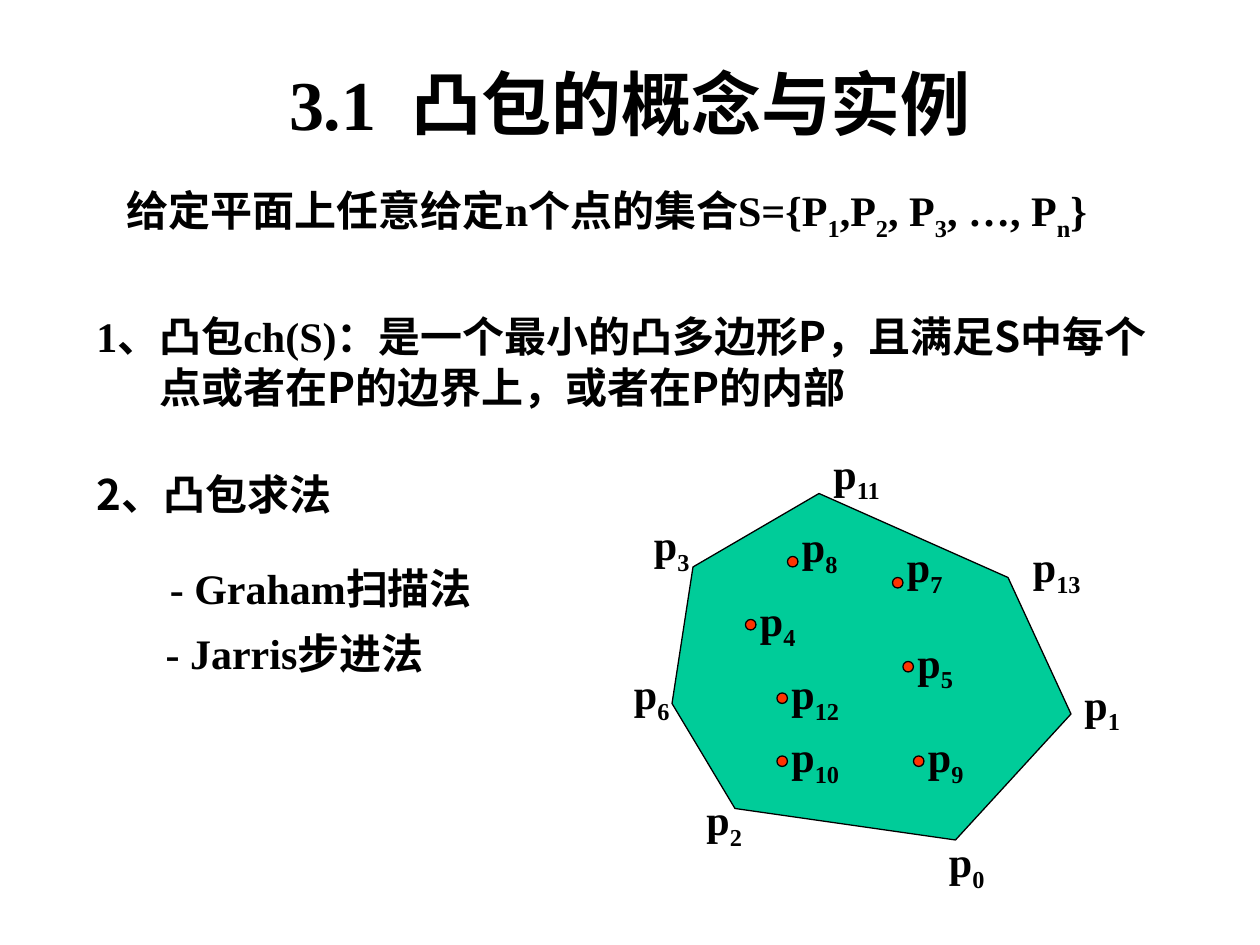
from dataclasses import dataclass

import pptx
import pptx.dml.color
import pptx.enum.shapes
import pptx.enum.text
import pptx.oxml
import pptx.oxml.ns
import pptx.util

CELL = pptx.util.Emu(76200)  # 1/12 inch: the slide is 120 columns by 90 rows
COLUMNS, ROWS = 120, 90


@dataclass(frozen=True)
class Theme:
    latin: str = "Times New Roman"
    cjk: str = "Noto Sans CJK SC"
    ink: str = "000000"
    hull: str = "00CC99"
    dot: str = "FF3300"
    title_size: int = 40
    body_size: int = 24
    outline: float = 0.75
    subscript: int = -25000


@dataclass(frozen=True)
class Piece:
    text: str
    font: str = ""
    sub: bool = False


@dataclass(frozen=True)
class Statement:
    pieces: tuple[Piece, ...]
    column: float
    row: float
    width: float
    height: float
    margin: float = 0
    hanging: float = 0


@dataclass(frozen=True)
class Point:
    """A point of S; its label lies (right, down) cells from it."""
    index: int
    column: float
    row: float
    right: float = 0.2
    down: float = -3


THEME = Theme()

STATEMENTS = (
    Statement((Piece("给定平面上任意给定n个点的集合S={P"), Piece("1", sub=True),
               Piece(",P"), Piece("2", sub=True),
               Piece(", P"), Piece("3", sub=True),
               Piece(", …, P"), Piece("n", sub=True), Piece("}")),
              9, 17, 102, 12, margin=1.9),
    Statement((Piece("1、凸包ch(S)："),
               Piece("是一个最小的凸多边形P，且满足S中每个点或者在P的边界上，或者在P的内部",
                     THEME.cjk)),
              8, 29, 103, 13, margin=6, hanging=6),
    Statement((Piece("2、凸包求法", THEME.cjk),), 8, 44, 91, 6, margin=6, hanging=6),
    Statement((Piece("- Graham扫描法"),), 15, 53, 66, 6),
    Statement((Piece("- Jarris步进法"),), 14.6, 59.2, 66, 6),
)

HULL = (
    Point(11, 78, 47, 0.2, -5),
    Point(3, 66, 54, -4.9, -5.2),
    Point(6, 64, 67, -4.8, -4),
    Point(2, 70, 77, -3.9, -2),
    Point(0, 91, 80, -1.8, -1),
    Point(1, 102, 68, 0.1, -4),
    Point(13, 96, 55, 1.2, -4.1),
)

INTERIOR = (
    Point(8, 75, 53, down=-4),
    Point(7, 85, 55, down=-4.1),
    Point(4, 71, 59),
    Point(5, 86, 63),
    Point(12, 74, 66),
    Point(10, 74, 72),
    Point(9, 87, 72),
)


def cells(count: float) -> pptx.util.Emu:
    return pptx.util.Emu(round(count * CELL))


def color(code: str) -> pptx.dml.color.RGBColor:
    return pptx.dml.color.RGBColor.from_string(code)


def add_piece(paragraph, piece: Piece, size: int) -> None:
    run = paragraph.add_run()
    run.text = piece.text
    run.font.name = piece.font or THEME.latin
    run.font.size = pptx.util.Pt(size)
    run.font.bold = True
    run.font.color.rgb = color(THEME.ink)
    properties = run._r.get_or_add_rPr()
    east_asian = pptx.oxml.parse_xml(
        f'<a:ea {pptx.oxml.ns.nsdecls("a")} typeface="{THEME.cjk}"/>')
    properties.append(east_asian)
    if piece.sub:
        properties.set("baseline", str(THEME.subscript))


def add_statement(shapes, statement: Statement, wrap: bool = True) -> None:
    box = shapes.add_textbox(cells(statement.column), cells(statement.row),
                             cells(statement.width), cells(statement.height))
    box.text_frame.word_wrap = wrap
    paragraph = box.text_frame.paragraphs[0]
    if statement.margin:
        properties = paragraph._p.get_or_add_pPr()
        properties.set("marL", str(cells(statement.margin)))
        properties.set("indent", str(-cells(statement.hanging)))
    for piece in statement.pieces:
        add_piece(paragraph, piece, THEME.body_size)


def paint(shape, fill: str) -> None:
    shape.shadow.inherit = False
    shape.fill.solid()
    shape.fill.fore_color.rgb = color(fill)
    shape.line.color.rgb = color(THEME.ink)
    shape.line.width = pptx.util.Pt(THEME.outline)


def add_label(shapes, point: Point) -> None:
    digits = str(point.index)
    width = 4.6 + 1.2 * len(digits)
    add_statement(shapes, Statement((Piece("p"), Piece(digits, sub=True)),
                                    point.column + point.right,
                                    point.row + point.down, width, 6.7), wrap=False)


def add_hull(shapes) -> None:
    first, *others = [(point.column, point.row) for point in HULL]
    outline = shapes.build_freeform(*first, scale=CELL)
    outline.add_line_segments(others, close=True)
    paint(outline.convert_to_shape(), THEME.hull)


def add_dot(shapes, point: Point) -> None:
    dot = shapes.add_shape(pptx.enum.shapes.MSO_SHAPE.FLOWCHART_CONNECTOR,
                           cells(point.column), cells(point.row), CELL, CELL)
    paint(dot, THEME.dot)


def add_title(slide) -> None:
    title = slide.shapes.title
    title.left, title.top = cells(9), cells(5.3)
    title.width, title.height = cells(102), cells(9)
    frame = title.text_frame
    frame.auto_size = pptx.enum.text.MSO_AUTO_SIZE.NONE
    frame.vertical_anchor = pptx.enum.text.MSO_ANCHOR.MIDDLE
    paragraph = frame.paragraphs[0]
    paragraph.alignment = pptx.enum.text.PP_ALIGN.CENTER
    add_piece(paragraph, Piece("3.1  凸包的概念与实例"), THEME.title_size)


def main() -> None:
    deck = pptx.Presentation()
    deck.slide_width, deck.slide_height = cells(COLUMNS), cells(ROWS)
    slide = deck.slides.add_slide(deck.slide_layouts.get_by_name("Title Only"))
    add_title(slide)
    for statement in STATEMENTS:
        add_statement(slide.shapes, statement)
    figure = slide.shapes.add_group_shape().shapes
    add_hull(figure)
    for point in HULL + INTERIOR:
        add_label(figure, point)
    for point in INTERIOR:
        add_dot(figure, point)
    deck.save("out.pptx")


if __name__ == "__main__":
    main()
